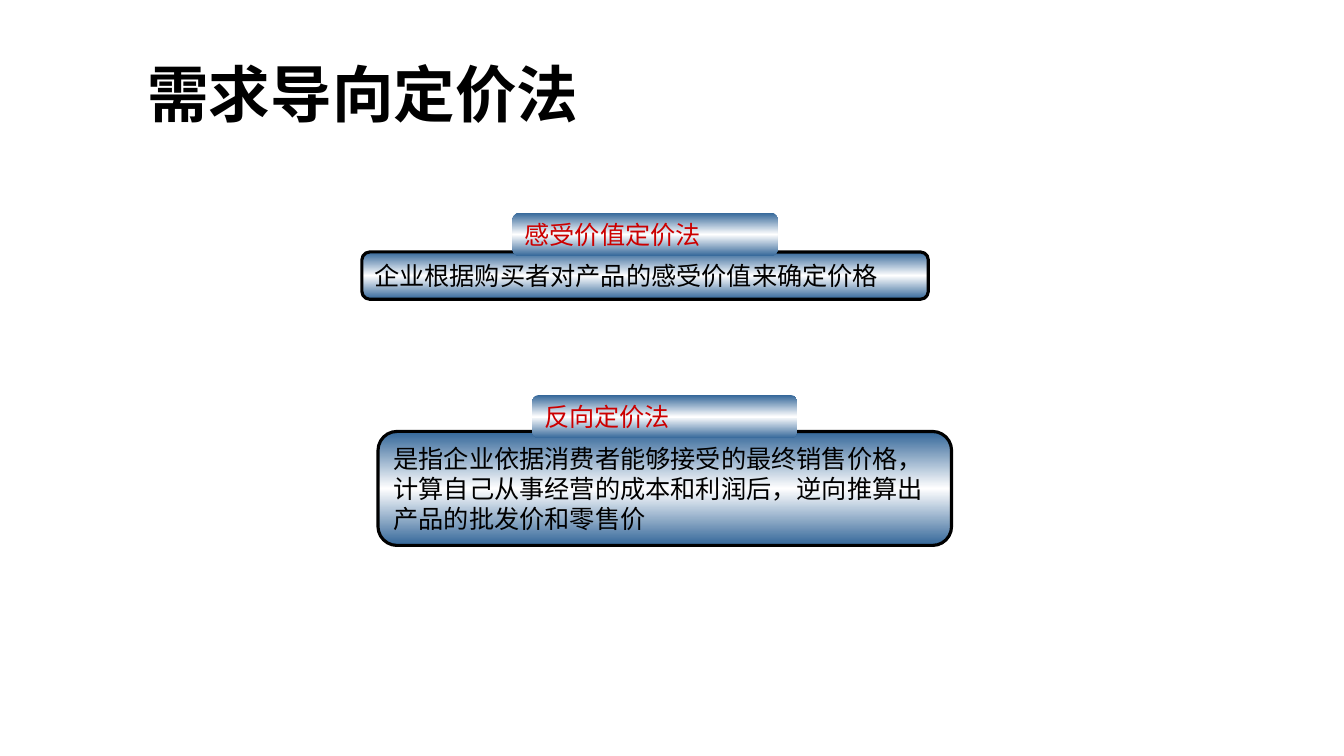
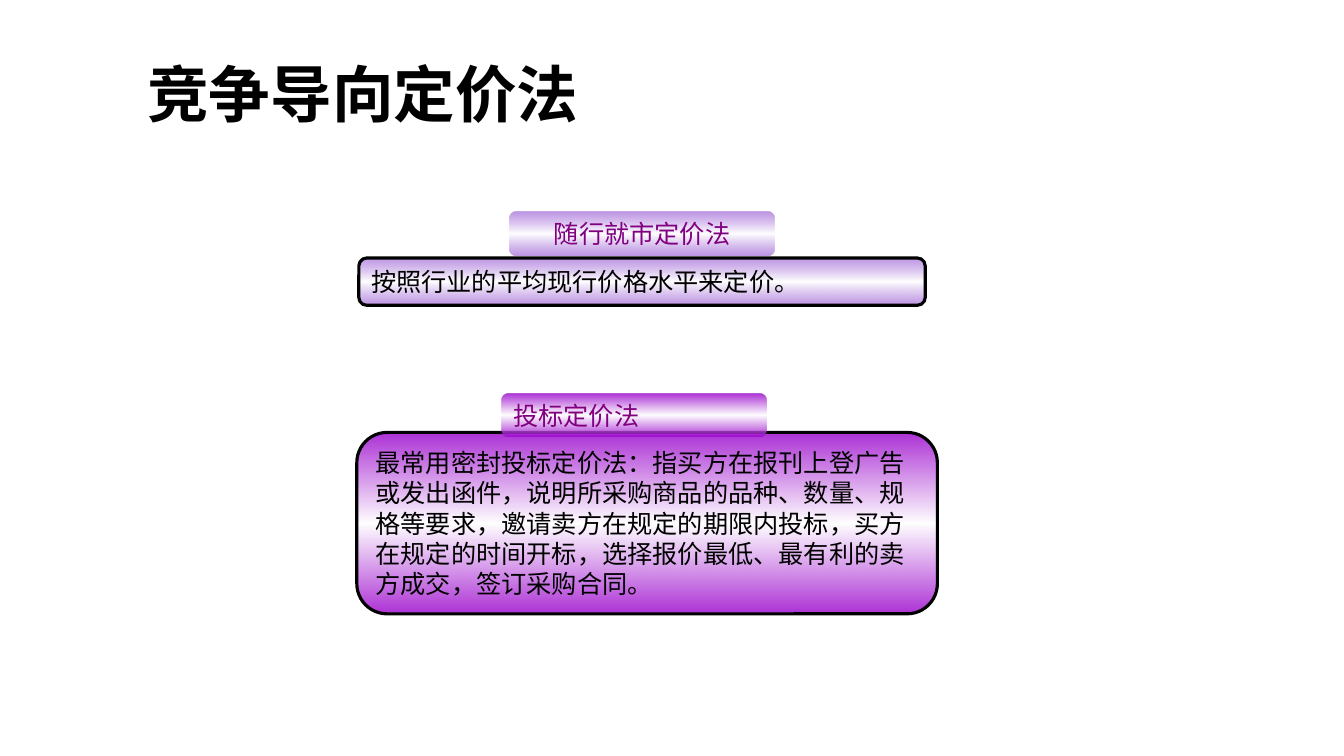
from lxml.etree import SubElement
from pptx import Presentation
from pptx.dml.color import RGBColor
from pptx.enum.shapes import MSO_SHAPE
from pptx.enum.text import MSO_ANCHOR as Anchor, PP_ALIGN as Align
from pptx.oxml.ns import qn
from pptx.util import Pt

BLACK = RGBColor(0x00, 0x00, 0x00)
WHITE = RGBColor(0xFF, 0xFF, 0xFF)
RED = RGBColor(0xCC, 0x00, 0x00)
PLUM = RGBColor(0x80, 0x00, 0x80)
BLUE = RGBColor(0x33, 0x66, 0x99)
VIOLET = RGBColor(0x99, 0x00, 0xCC)
LILAC = RGBColor(0xAD, 0x7A, 0xDC)

LATIN, CHINESE = "Arial", "Noto Sans CJK SC"
LABEL_WIDTH, LABEL_HEIGHT = 189.5, 31

# Gradients: (colour, opacity in percent) from top to bottom
BLUE_BAND = [(BLUE, 100), (WHITE, 100), (BLUE, 100)]
VIOLET_BAND = [(VIOLET, 80), (WHITE, 80), (VIOLET, 80)]
LILAC_BAND = [(LILAC, 80), (WHITE, 100), (LILAC, 80)]

# "box" is left, top, width, height of the explanation; "rise" is how far the
# label starts above it; "shift" moves the label off the centre of the box.
SLIDES = [
    ("需求导向定价法", [
        dict(label="感受价值定价法", label_color=RED, band=BLUE_BAND,
             text="企业根据购买者对产品的感受价值来确定价格",
             box=(258.5, 180, 404.6, 33.8), rise=28),
        dict(label="反向定价法", label_color=RED, band=BLUE_BAND,
             text="是指企业依据消费者能够接受的最终销售价格，计算自己从事经营的成本和利润后，"
                  "逆向推算出产品的批发价和零售价",
             box=(270, 308.2, 409.7, 81.4), rise=26),
    ]),
    ("竞争导向定价法", [
        dict(label="随行就市定价法", label_color=PLUM, band=LILAC_BAND,
             text="按照行业的平均现行价格水平来定价。",
             box=(256.3, 184.3, 404.6, 33.8), rise=33, label_align=Align.CENTER),
        dict(label="投标定价法", label_color=PLUM, band=VIOLET_BAND,
             text="最常用密封投标定价法：指买方在报刊上登广告或发出函件，说明所采购商品的品种、"
                  "数量、规格等要求，邀请卖方在规定的期限内投标，买方在规定的时间开标，"
                  "选择报价最低、最有利的卖方成交，签订采购合同。",
             box=(254.9, 308.9, 414.7, 129.6), rise=28, shift=-9.5),
    ]),
]


def write(frame, text, size=18, color=BLACK, font=LATIN, bold=False,
          align=Align.LEFT, spacing=None):
    frame.word_wrap = True
    frame.vertical_anchor = Anchor.MIDDLE
    paragraph = frame.paragraphs[0]
    paragraph.alignment = align
    if spacing:
        paragraph.line_spacing = spacing
    run = paragraph.add_run()
    run.text = text
    run.font.size, run.font.bold, run.font.name = Pt(size), bold, font
    run.font.color.rgb = color
    properties = run.font._element
    properties.set("lang", "zh-CN")
    SubElement(properties, qn("a:ea")).set("typeface", CHINESE)


def fill_gradient(shape, band):
    shape.fill.gradient()
    shape.fill.gradient_angle = 90
    stops = shape._element.spPr.find(qn("a:gradFill")).find(qn("a:gsLst"))
    stops.clear()
    for index, (color, opacity) in enumerate(band):
        stop = SubElement(stops, qn("a:gs"), pos=str(index * 100000 // (len(band) - 1)))
        tint = SubElement(stop, qn("a:srgbClr"), val=str(color))
        if opacity < 100:
            SubElement(tint, qn("a:alpha"), val=str(opacity * 1000))


def add_panel(group, box, band, text, outlined=False, **style):
    panel = group.shapes.add_shape(MSO_SHAPE.ROUNDED_RECTANGLE, *map(Pt, box))
    panel.shadow.inherit = False
    fill_gradient(panel, band)
    if outlined:
        panel.line.color.rgb = BLACK
        panel.line.width = Pt(2.25)
    else:
        panel.line.fill.background()
    write(panel.text_frame, text, spacing=Pt(21.6), **style)


def add_method(slide, label, label_color, band, text, box, rise, shift=0,
               label_align=Align.LEFT):
    """Add an outlined explanation with its label over the top edge."""
    left, top, width, _ = box
    label_left = left + (width - LABEL_WIDTH) / 2 + shift
    group = slide.shapes.add_group_shape()
    add_panel(group, box, band, text, outlined=True)
    add_panel(group, (label_left, top - rise, LABEL_WIDTH, LABEL_HEIGHT), band,
              label, color=label_color, align=label_align)


def main():
    deck = Presentation()
    deck.slide_width, deck.slide_height = Pt(960), Pt(540)
    layout = deck.slide_layouts[5]
    heading = layout.placeholders[0]
    heading.left, heading.top = Pt(98), Pt(21.6)
    heading.width, heading.height = Pt(814), Pt(90)

    for title, methods in SLIDES:
        slide = deck.slides.add_slide(layout)
        write(slide.shapes.title.text_frame, title, size=44, font=CHINESE, bold=True)
        for method in methods:
            add_method(slide, **method)
    deck.save("out.pptx")


if __name__ == "__main__":
    main()
